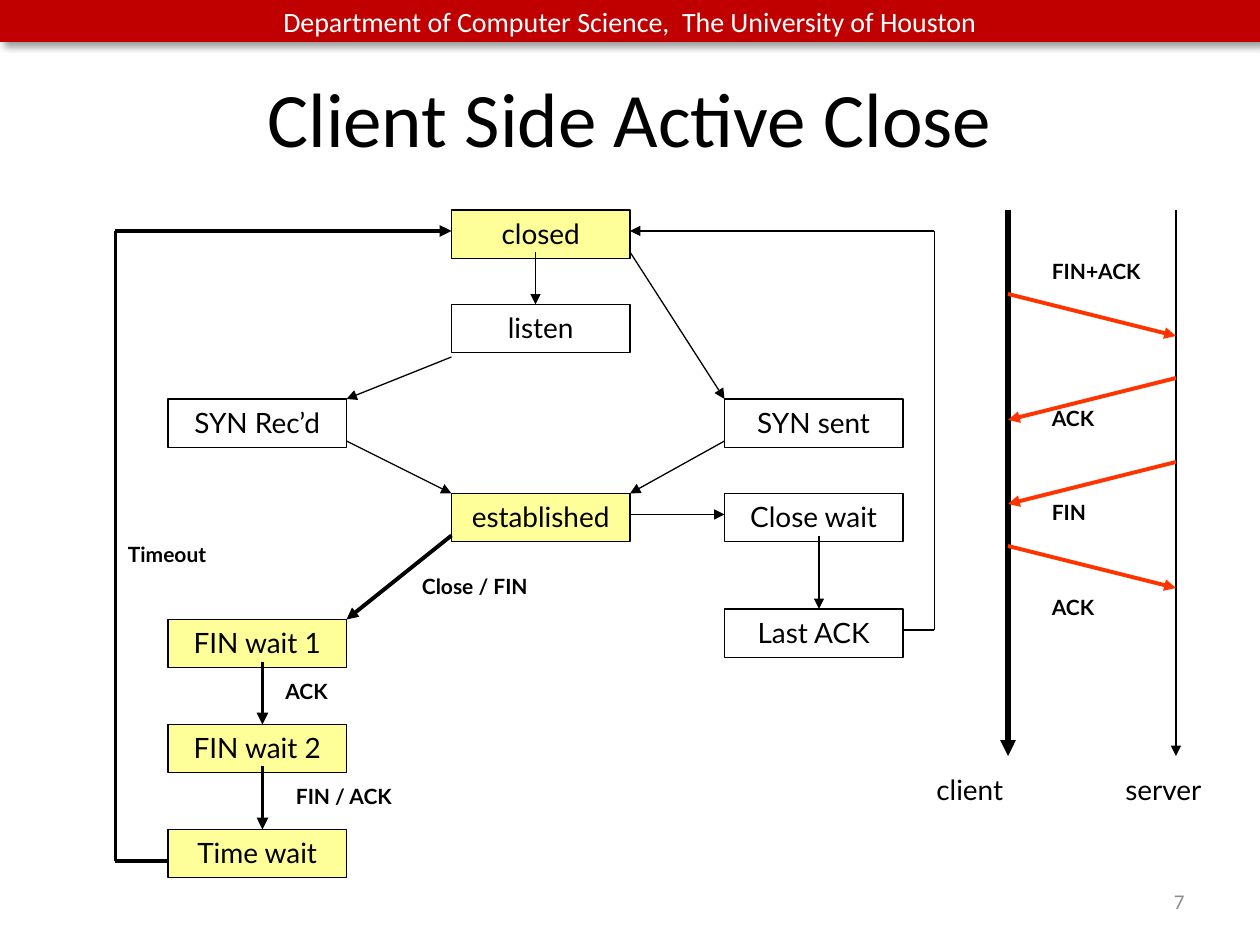
from typing import NamedTuple

from lxml.etree import SubElement
from pptx import Presentation
from pptx.dml.color import RGBColor
from pptx.enum.shapes import MSO_CONNECTOR as Connector, MSO_SHAPE as Preset
from pptx.enum.text import MSO_ANCHOR as Anchor, MSO_AUTO_SIZE as AutoSize, PP_ALIGN as Align
from pptx.oxml.ns import qn
from pptx.util import Emu, Pt

PX = 7620  # EMU per px, 120 px to the inch
COLORS = {
    "black": "000000",
    "white": "FFFFFF",
    "red": "C00000",
    "yellow": "FFFF99",
    "orange": "FF3300",
    "gray": "8C8C8C",
}
THIN, BOLD, HEAVY = 0.75, 2.25, 3
STATE_WIDTH, STATE_HEIGHT = 170, 46
LEFT, MIDDLE, RIGHT = 160, 430, 690  # state columns
CLIENT, SERVER = 960, 1120  # timelines


class State(NamedTuple):
    name: str
    left: int
    top: int
    active: bool = False


class Line(NamedTuple):
    x1: int
    y1: int
    x2: int
    y2: int
    weight: float = THIN
    color: str = "black"
    arrow: bool = True


class Label(NamedTuple):
    text: str
    left: int
    top: int
    width: int
    height: int = 36
    size: int = 12
    bold: bool = True
    font: str = "Lato"
    color: str = "black"
    align: Align = Align.LEFT
    anchor: Anchor = Anchor.TOP


STATES = [
    State("closed", MIDDLE, 200, True),
    State("listen", MIDDLE, 290),
    State("SYN Rec’d", LEFT, 380),
    State("established", MIDDLE, 470, True),
    State("SYN sent", RIGHT, 380),
    State("Close wait", RIGHT, 470),
    State("Last ACK", RIGHT, 580),
    State("FIN wait 1", LEFT, 590, True),
    State("FIN wait 2", LEFT, 690, True),
    State("Time wait", LEFT, 790, True),
]

TRANSITIONS = [
    Line(510, 240, 510, 290),
    Line(600, 240, RIGHT, 380),
    Line(MIDDLE, 340, 330, 380),
    Line(330, 420, MIDDLE, 470),
    Line(RIGHT, 420, 600, 470),
    Line(600, 490, RIGHT, 490),
    Line(780, 510, 780, 580),
    # Last ACK back to closed
    Line(860, 600, 890, 600, arrow=False),
    Line(890, 220, 890, 600, arrow=False),
    Line(890, 220, 600, 220),
    # Active close
    Line(MIDDLE, 510, 330, 590, BOLD),
    Line(250, 630, 250, 690, BOLD),
    Line(250, 730, 250, 790, BOLD),
    # Timeout back to closed
    Line(110, 220, MIDDLE, 220, BOLD),
    Line(110, 220, 110, 820, BOLD, arrow=False),
    Line(110, 820, LEFT, 820, BOLD, arrow=False),
]

TIMELINES = [
    Line(CLIENT, 200, CLIENT, 720, HEAVY),
    Line(SERVER, 200, SERVER, 720),
]

# Segments start every 80 px and drop 40 px on their way
MESSAGES = [
    Line(start, 280 + 80 * step, end, 320 + 80 * step, BOLD, "orange")
    for step, (start, end) in enumerate(
        [(CLIENT, SERVER), (SERVER, CLIENT), (SERVER, CLIENT), (CLIENT, SERVER)]
    )
]

LABELS = [
    Label("Client Side Active Close", 60, 36, 1080, 150, 44, False, "Calibri",
          align=Align.CENTER, anchor=Anchor.MIDDLE),
    Label("7", 860, 834, 280, 48, 12, False, "Calibri", "gray", Align.RIGHT, Anchor.MIDDLE),
    Label("client", 880, 730, 110, 44, 16, False),
    Label("server", 1060, 730, 110, 44, 16, False),
    Label("FIN+ACK", 990, 240, 130),
    Label("ACK", 990, 380, 130),
    Label("FIN", 990, 470, 130),
    Label("ACK", 990, 560, 130),
    Label("Close / FIN", 390, 540, 140),
    Label("ACK", 260, 640, 140),
    Label("FIN / ACK", 270, 740, 140),
    Label("Timeout", 110, 510, 140),
]


def px(length: int) -> Emu:
    return Emu(length * PX)


def rgb(color: str) -> RGBColor:
    return RGBColor.from_string(COLORS[color])


def set_text(shape, label: Label) -> None:
    frame = shape.text_frame
    frame.text = label.text
    frame.word_wrap = True
    frame.auto_size = AutoSize.NONE
    frame.vertical_anchor = label.anchor
    para = frame.paragraphs[0]
    para.alignment = label.align
    font = para.runs[0].font
    font.name, font.size, font.bold = label.font, Pt(label.size), label.bold
    font.color.rgb = rgb(label.color)


def draw_label(page, label: Label) -> None:
    box = page.shapes.add_textbox(*map(px, label[1:5]))
    set_text(box, label)


def draw_box(page, label: Label, fill: str = "", outline: str = ""):
    box = page.shapes.add_shape(Preset.RECTANGLE, *map(px, label[1:5]))
    box.shadow.inherit = False
    if fill:
        box.fill.solid()
        box.fill.fore_color.rgb = rgb(fill)
    else:
        box.fill.background()
    if outline:
        box.line.color.rgb = rgb(outline)
        box.line.width = Pt(THIN)
    else:
        box.line.fill.background()
    set_text(box, label)
    return box


def draw_state(page, state: State) -> None:
    label = Label(state.name, state.left, state.top, STATE_WIDTH, STATE_HEIGHT,
                  16, False, align=Align.CENTER)
    draw_box(page, label, "yellow" if state.active else "", "black")


def draw_line(page, line: Line) -> None:
    connector = page.shapes.add_connector(Connector.STRAIGHT, *map(px, line[:4]))
    connector.line.width = Pt(line.weight)
    connector.line.color.rgb = rgb(line.color)
    if line.arrow:
        SubElement(connector.line._get_or_add_ln(), qn("a:tailEnd"), type="triangle")
    SubElement(connector._element.spPr, qn("a:effectLst"))


def draw_header(page) -> None:
    label = Label("Department of Computer Science,  The University of Houston",
                  0, 0, 1200, 40, 16, False, "Calibri", "white", Align.CENTER, Anchor.MIDDLE)
    bar = draw_box(page, label, "red")
    effects = bar._element.spPr.find(qn("a:effectLst"))
    shadow = SubElement(effects, qn("a:outerShdw"), blurRad=str(Pt(4)), dist=str(Pt(3)),
                        dir=str(45 * 60000), algn="tl", rotWithShape="0")
    tint = SubElement(shadow, qn("a:srgbClr"), val=COLORS["black"])
    SubElement(tint, qn("a:alpha"), val="40000")


def main() -> None:
    deck = Presentation()
    deck.slide_width, deck.slide_height = px(1200), px(900)
    page = deck.slides.add_slide(deck.slide_layouts[6])
    draw_header(page)
    for state in STATES:
        draw_state(page, state)
    for line in TRANSITIONS + TIMELINES + MESSAGES:
        draw_line(page, line)
    for label in LABELS:
        draw_label(page, label)
    deck.save("out.pptx")


if __name__ == "__main__":
    main()
